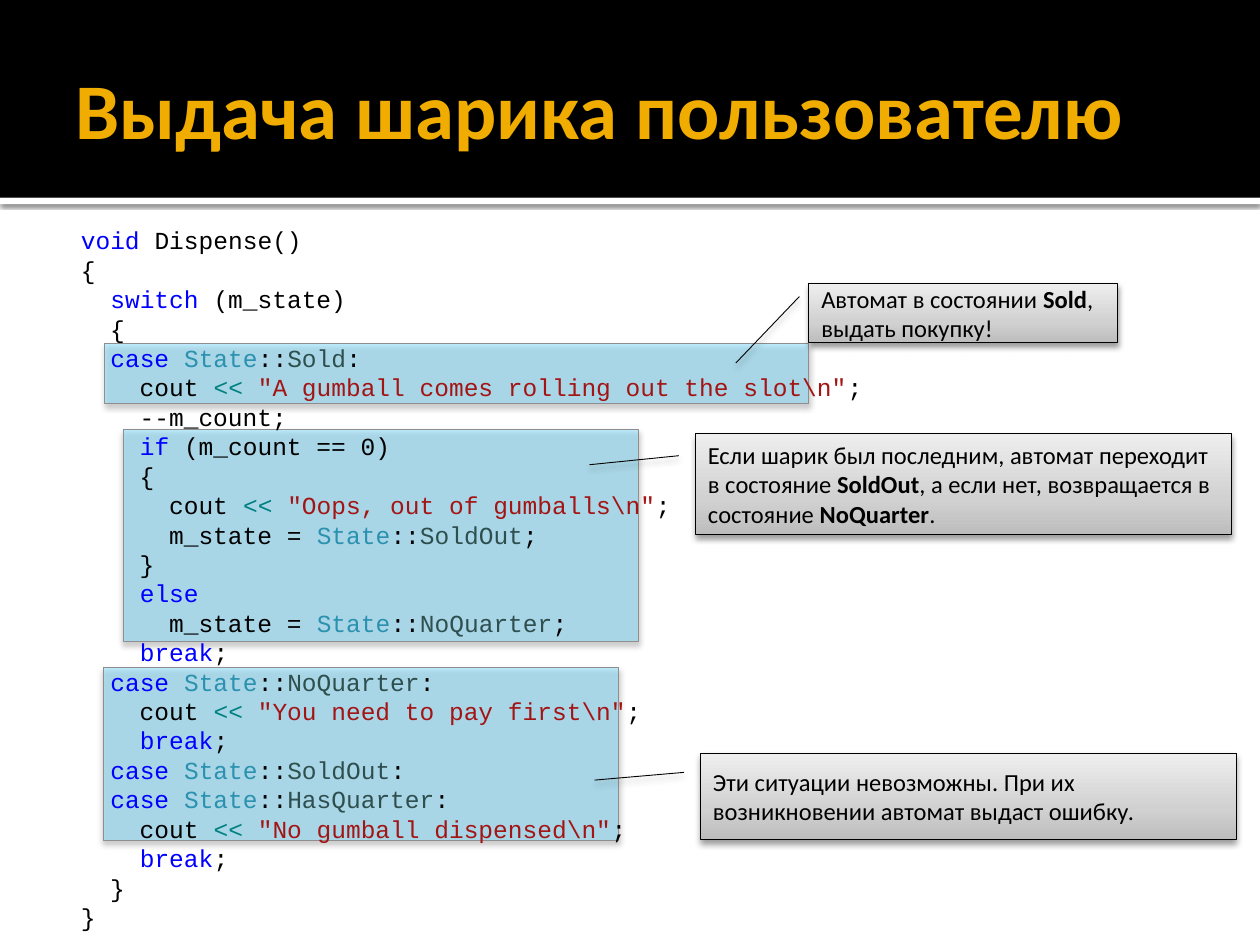
import copy
import itertools
from dataclasses import dataclass

import pptx
import pptx.util
import pptx.dml.color
import pptx.enum.shapes
import pptx.enum.text
import pptx.oxml
import pptx.oxml.ns

SHAPE = pptx.enum.shapes.MSO_SHAPE
ANCHOR = pptx.enum.text.MSO_ANCHOR
ALIGN = pptx.enum.text.PP_ALIGN
FIT = pptx.enum.text.MSO_AUTO_SIZE
qn = pptx.oxml.ns.qn


@dataclass(frozen=True)
class Theme:
    text_font: str = "Calibri"
    code_font: str = "Courier New"
    title_size: int = 45
    text_size: int = 14
    title: str = "F0AD00"
    black: str = "000000"
    white: str = "FFFFFF"
    highlight: str = "85DFFF"
    highlight_line: str = "8E8E8E"
    gradient: tuple = ((0, "BDBDBD"), (0.35, "D1D1D1"), (1, "EEEEEE"))
    keyword: str = "0000FF"
    type_name: str = "2B91AF"
    enum_name: str = "2F4F4F"
    operator: str = "008080"
    string: str = "A31515"


THEME = Theme()

TITLE = "Выдача шарика пользователю"

CODE = r'''  void Dispense()
  {
    switch (m_state)
    {
    case State::Sold:
      cout << "A gumball comes rolling out the slot\n";
      --m_count;
      if (m_count == 0)
      {
        cout << "Oops, out of gumballs\n";
        m_state = State::SoldOut;
      }
      else
        m_state = State::NoQuarter;
      break;
    case State::NoQuarter:
      cout << "You need to pay first\n";
      break;
    case State::SoldOut:
    case State::HasQuarter:
      cout << "No gumball dispensed\n";
      break;
    }
  }'''

TOKEN_COLORS = {
    **dict.fromkeys("void switch case if else break".split(), THEME.keyword),
    **dict.fromkeys("Sold SoldOut NoQuarter HasQuarter".split(), THEME.enum_name),
    "State": THEME.type_name,
    "<<": THEME.operator,
}

# Boxes are (left, top, width, height) in columns and rows of a 100 x 75 grid
COLUMNS, ROWS = 100, 75
TITLE_BAND = (0, 0, 100, 15.7)
CODE_BOX = (3.1, 17.4, 93.7, 57.6)
HIGHLIGHTS = [(8.3, 27.3, 55.9, 4.7), (9.8, 34.1, 40.9, 16.8), (8.2, 53, 40.9, 13.7)]

# Box, end of the pointer (down, across) as shares of the box, text with *bold* parts
CALLOUTS = [
    ((64.2, 22.5, 24.5, 4.7), (1.344, -0.237),
     "Автомат в состоянии *Sold*, выдать покупку!"),
    ((55.2, 34.4, 42.5, 8), (0.311, -0.198),
     "Если шарик был последним, автомат переходит в состояние *SoldOut*, "
     "а если нет, возвращается в состояние *NoQuarter*."),
    ((55.6, 59.8, 42.5, 6.8), (0.311, -0.198),
     "Эти ситуации невозможны. При их возникновении автомат выдаст ошибку."),
]


def rgb(value):
    return pptx.dml.color.RGBColor.from_string(value)


def place(prs, box):
    col, row = prs.slide_width / COLUMNS, prs.slide_height / ROWS
    return [round(n * unit) for n, unit in zip(box, (col, row, col, row))]


def add_run(p, text, font, size, color, bold=False):
    r = p.add_run()
    r.text = text
    r.font.name, r.font.size, r.font.bold = font, pptx.util.Pt(size), bold
    r.font.color.rgb = rgb(color)


def set_line(s, color=None):
    if color is None:
        s.line.fill.background()
    else:
        s.line.color.rgb = rgb(color)
        s.line.width = pptx.util.Pt(0.5)


def add_shadow(s, alpha=38, blur=3.5, dist=2):
    s.shadow.inherit = False
    effects = s._element.spPr.find(qn("a:effectLst"))
    effects.append(pptx.oxml.parse_xml(
        f'<a:outerShdw {pptx.oxml.ns.nsdecls("a")} blurRad="{pptx.util.Pt(blur)}" '
        f'dist="{pptx.util.Pt(dist)}" dir="5400000" rotWithShape="0">'
        f'<a:srgbClr val="{THEME.black}"><a:alpha val="{alpha * 1000}"/></a:srgbClr>'
        f'</a:outerShdw>'))


def add_rect(prs, slide, box, fill, line=None):
    s = slide.shapes.add_shape(SHAPE.RECTANGLE, *place(prs, box))
    s.fill.solid()
    s.fill.fore_color.rgb = rgb(fill)
    set_line(s, line)
    s.shadow.inherit = False
    return s


def add_title(prs, slide, box):
    left, top, width, height = box
    # White rule below the black band
    rule = add_rect(prs, slide, (left, top + height, width, 0.5), THEME.white)
    add_shadow(rule, alpha=60, blur=2.5, dist=0.8)
    add_rect(prs, slide, box, THEME.black)
    # Title, brought in front of the band
    s = slide.shapes.title
    s.left, s.top, s.width, s.height = place(
        prs, (left + 5, top + 1.7, width - 10, height - 2))
    slide.shapes._spTree.append(s._element)
    tf = s.text_frame
    tf.auto_size, tf.vertical_anchor = FIT.NONE, ANCHOR.MIDDLE
    tf.margin_right = pptx.util.Inches(0.05)
    p = tf.paragraphs[0]
    p.alignment = ALIGN.LEFT
    add_run(p, TITLE, THEME.text_font, THEME.title_size, THEME.title, True)


def add_highlight(prs, slide, box):
    s = add_rect(prs, slide, box, THEME.highlight, THEME.highlight_line)
    color = s._element.spPr.find(qn("a:solidFill")).find(qn("a:srgbClr"))
    alpha = pptx.oxml.parse_xml(f'<a:alpha {pptx.oxml.ns.nsdecls("a")} val="50000"/>')
    color.append(alpha)
    add_shadow(s)


def tokens(line):
    """Yield (text, colour) for string literals, words and operators."""
    for i, part in enumerate(line.split('"')):
        if i % 2:
            yield f'"{part}"', THEME.string
            continue
        for _, chars in itertools.groupby(
                part, lambda c: (c.isalnum() or c == "_", c == "<")):
            text = "".join(chars)
            yield text, TOKEN_COLORS.get(text, THEME.black)


def add_code(prs, slide, box):
    tf = slide.shapes.add_textbox(*place(prs, box)).text_frame
    tf.word_wrap, tf.auto_size = True, FIT.SHAPE_TO_FIT_TEXT
    for i, line in enumerate(CODE.split("\n")):
        p = tf.add_paragraph() if i else tf.paragraphs[0]
        for color, group in itertools.groupby(tokens(line), lambda t: t[1]):
            text = "".join(t for t, _ in group)
            add_run(p, text, THEME.code_font, THEME.text_size, color)


def add_callout(prs, slide, box, pointer, text):
    s = slide.shapes.add_shape(SHAPE.LINE_CALLOUT_1, *place(prs, box))
    for i, value in enumerate((0.221, -0.031, *pointer)):
        s.adjustments[i] = value
    # Grey gradient, light at the top
    s.fill.gradient()
    s.fill.gradient_angle = 90
    stops = s._element.spPr.find(".//" + qn("a:gsLst"))
    stops.insert(1, copy.deepcopy(stops[0]))
    for stop, (position, color) in zip(s.fill.gradient_stops, THEME.gradient):
        stop.position, stop.color.rgb = position, rgb(color)
    set_line(s, THEME.black)
    add_shadow(s)
    # Text
    tf = s.text_frame
    tf.word_wrap, tf.vertical_anchor = True, ANCHOR.MIDDLE
    p = tf.paragraphs[0]
    p.alignment = ALIGN.LEFT
    for i, part in enumerate(text.split("*")):
        add_run(p, part, THEME.text_font, THEME.text_size, THEME.black, i % 2 == 1)


def main():
    prs = pptx.Presentation()
    prs.slide_width, prs.slide_height = pptx.util.Inches(10), pptx.util.Inches(7.5)
    slide = prs.slides.add_slide(prs.slide_layouts.get_by_name("Title Only"))
    add_title(prs, slide, TITLE_BAND)
    for box in HIGHLIGHTS:
        add_highlight(prs, slide, box)
    add_code(prs, slide, CODE_BOX)
    for box, pointer, text in CALLOUTS:
        add_callout(prs, slide, box, pointer, text)
    prs.save("out.pptx")


if __name__ == "__main__":
    main()
